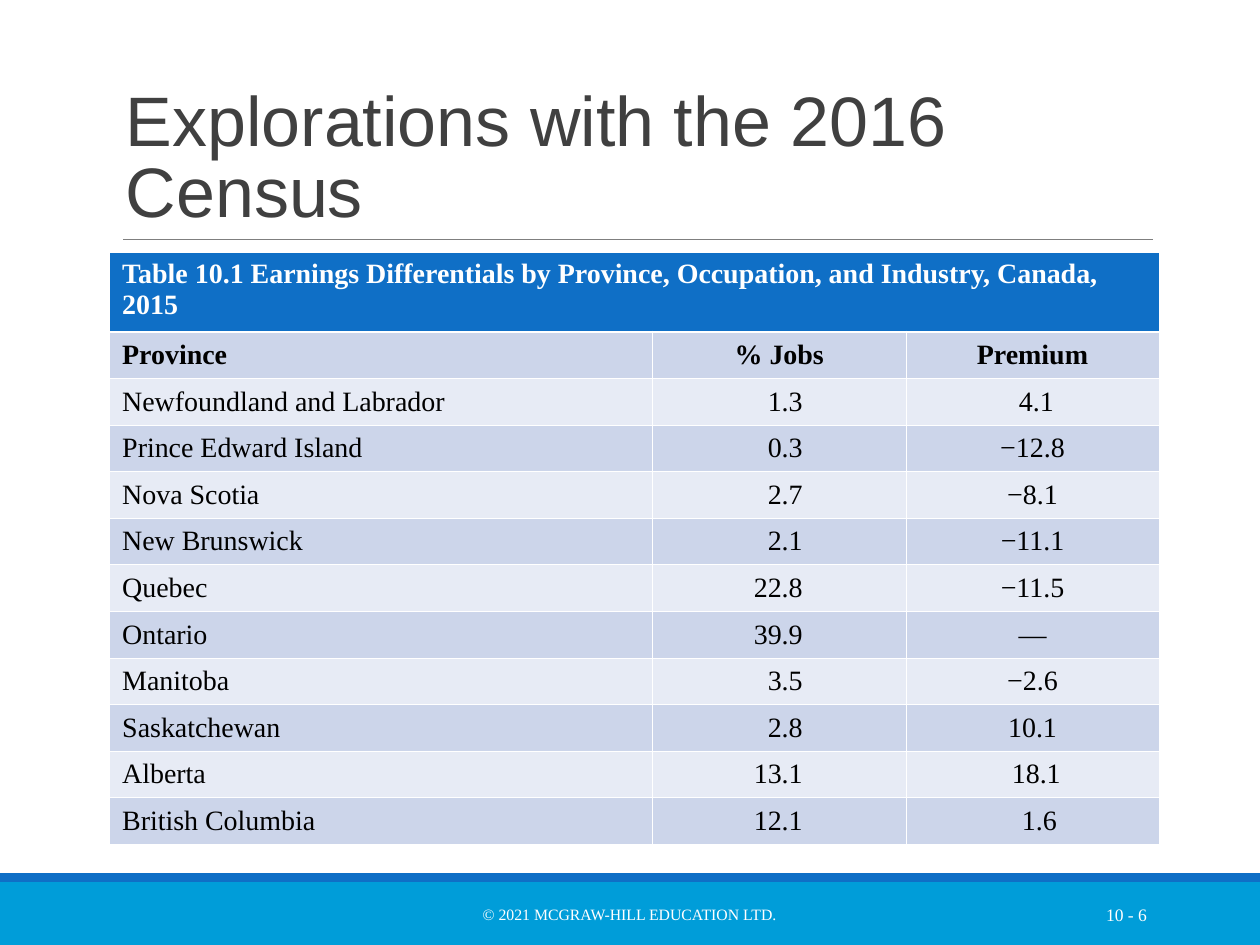
from lxml import etree
from pptx import Presentation
from pptx.dml.color import RGBColor
from pptx.enum.shapes import MSO_CONNECTOR, MSO_SHAPE
from pptx.enum.text import MSO_ANCHOR, PP_ALIGN
from pptx.oxml.ns import qn
from pptx.util import Inches, Pt

LEFT, CENTER, RIGHT = PP_ALIGN.LEFT, PP_ALIGN.CENTER, PP_ALIGN.RIGHT
TOP, MIDDLE, BOTTOM = MSO_ANCHOR.TOP, MSO_ANCHOR.MIDDLE, MSO_ANCHOR.BOTTOM
SERIF, SANS = "Times New Roman", "Arial"
COLORS = {
    "white": "FFFFFF", "black": "000000", "title": "404040", "rule": "7F7F7F",
    "blue": "0F6FC6", "sky": "009DD9", "dark_band": "CCD5EA", "light_band": "E7EBF5",
}

CAPTION = "Table 10.1 Earnings Differentials by Province, Occupation, and Industry, Canada, 2015"
HEADINGS = ("Province", "% Jobs", "Premium")
PROVINCES = [
    ("Newfoundland and Labrador", "1.3", "4.1"),
    ("Prince Edward Island", "0.3", "−12.8"),
    ("Nova Scotia", "2.7", "−8.1"),
    ("New Brunswick", "2.1", "−11.1"),
    ("Quebec", "22.8", "−11.5"),
    ("Ontario", "39.9", "—"),
    ("Manitoba", "3.5", "−2.6"),
    ("Saskatchewan", "2.8", "10.1"),
    ("Alberta", "13.1", "18.1"),
    ("British Columbia", "12.1", "1.6"),
]
COLUMN_WIDTHS = (4.31, 2.01, 2.01)
CAPTION_HEIGHT, ROW_HEIGHT = 0.63, 0.37
JOBS_RIGHT_MARGIN = 0.82
PREMIUM_INDENTS = {"4.1": 0.06, "18.1": 0.06, "1.6": 0.11}


def color(name):
    return RGBColor.from_string(COLORS[name])


def style_paragraph(para, font, size, color_name, align=LEFT, bold=False):
    para.alignment = align
    para.font.name = font
    para.font.size = Pt(size)
    para.font.bold = bold
    para.font.color.rgb = color(color_name)


def add_text(page, box, text, anchor, *style):
    frame = page.shapes.add_textbox(*map(Inches, box)).text_frame
    frame.word_wrap = True
    frame.vertical_anchor = anchor
    para = frame.paragraphs[0]
    para.text = text
    style_paragraph(para, *style)
    return para


def add_bar(page, box, color_name):
    bar = page.shapes.add_shape(MSO_SHAPE.RECTANGLE, *map(Inches, box))
    bar.shadow.inherit = False
    bar.fill.solid()
    bar.fill.fore_color.rgb = color(color_name)
    bar.line.fill.background()


def add_title(page, box):
    """Places the title, with the rule just under its box."""
    left, top, width, height = box
    para = add_text(page, box, "Explorations with the 2016 Census", BOTTOM, SANS, 40, "title")
    para.line_spacing = 0.85
    rule_y = Inches(top + height + 0.01)
    rule = page.shapes.add_connector(
        MSO_CONNECTOR.STRAIGHT, Inches(left + 0.08), rule_y, Inches(left + width), rule_y)
    rule.line.color.rgb = color("rule")
    rule.line.width = Pt(0.5)
    etree.SubElement(rule._element.spPr, qn("a:effectLst"))


def set_borders(cell, **widths):
    properties = cell._tc.get_or_add_tcPr()
    for side in "LRTB":
        width = Pt(widths.get(side, 0.45))
        line = etree.SubElement(properties, qn(f"a:ln{side}"), w=str(width))
        fill = etree.SubElement(line, qn("a:solidFill"))
        etree.SubElement(fill, qn("a:srgbClr"), val=COLORS["white"])


def fill_cell(cell, text, fill, anchor, *style):
    cell.fill.solid()
    cell.fill.fore_color.rgb = color(fill)
    cell.vertical_anchor = anchor
    para = cell.text_frame.paragraphs[0]
    para.text = text
    style_paragraph(para, SERIF, 16, *style)


def add_earnings_table(page, left, top):
    rows = [HEADINGS, *PROVINCES]
    height = CAPTION_HEIGHT + ROW_HEIGHT * len(rows)
    table = page.shapes.add_table(
        len(rows) + 1, len(HEADINGS), Inches(left), Inches(top),
        Inches(sum(COLUMN_WIDTHS)), Inches(height)).table
    table.first_row = table.horz_banding = False
    for column, width in zip(table.columns, COLUMN_WIDTHS):
        column.width = Inches(width)
    for row in table.rows:
        row.height = Inches(ROW_HEIGHT)
    table.rows[0].height = Inches(CAPTION_HEIGHT)

    for cell in table.iter_cells():
        cell.margin_left = cell.margin_right = Inches(0.1)
    for column in range(len(HEADINGS)):
        set_borders(table.cell(0, column), B=1.47)
    table.cell(0, 0).merge(table.cell(0, len(HEADINGS) - 1))
    fill_cell(table.cell(0, 0), CAPTION, "blue", TOP, "white", LEFT, True)

    for number, values in enumerate(rows, start=1):
        is_heading = number == 1
        band = "dark_band" if number % 2 else "light_band"
        aligns = (LEFT, CENTER if is_heading else RIGHT, CENTER)
        cells = [table.cell(number, column) for column in range(len(HEADINGS))]
        for cell, text, align in zip(cells, values, aligns):
            set_borders(cell, T=1.47 if is_heading else 0.45)
            fill_cell(cell, text, band, MIDDLE, "black", align, is_heading)
        if not is_heading:
            cells[1].margin_right = Inches(JOBS_RIGHT_MARGIN)
            cells[2].margin_left = Inches(0.1 + PREMIUM_INDENTS.get(values[2], 0))


def add_footer(page, box):
    left, top, width, height = box
    stripe = 0.07
    add_bar(page, (left, top + stripe, width, height - stripe), "sky")
    add_bar(page, (left, top, width, stripe), "blue")
    text_top = top + 0.13
    add_text(page, (left + 3.02, text_top, 3.95, 0.4), "© 2021 MCGRAW-HILL EDUCATION LTD.",
             MIDDLE, SERIF, 9, "white", CENTER)
    add_text(page, (left + 8.12, text_top, 1.08, 0.4), "10 - 6",
             MIDDLE, SERIF, 10, "white", RIGHT)


def main():
    deck = Presentation()
    deck.slide_width, deck.slide_height = Inches(10), Inches(7.5)
    page = deck.slides.add_slide(deck.slide_layouts[6])
    add_footer(page, (0, 6.93, 10, 0.57))
    add_title(page, (0.9, 0.3, 8.25, 1.59))
    add_earnings_table(page, 0.87, 2)
    deck.save("out.pptx")


if __name__ == "__main__":
    main()
